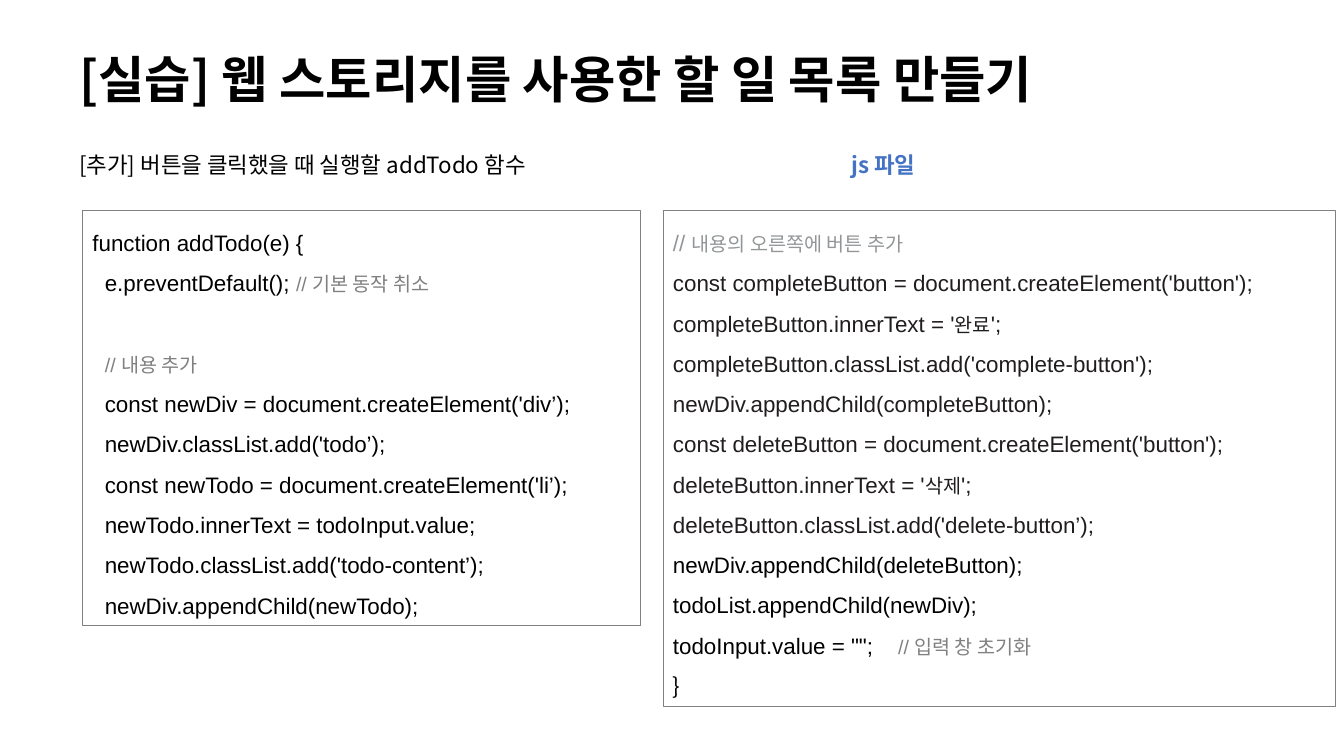
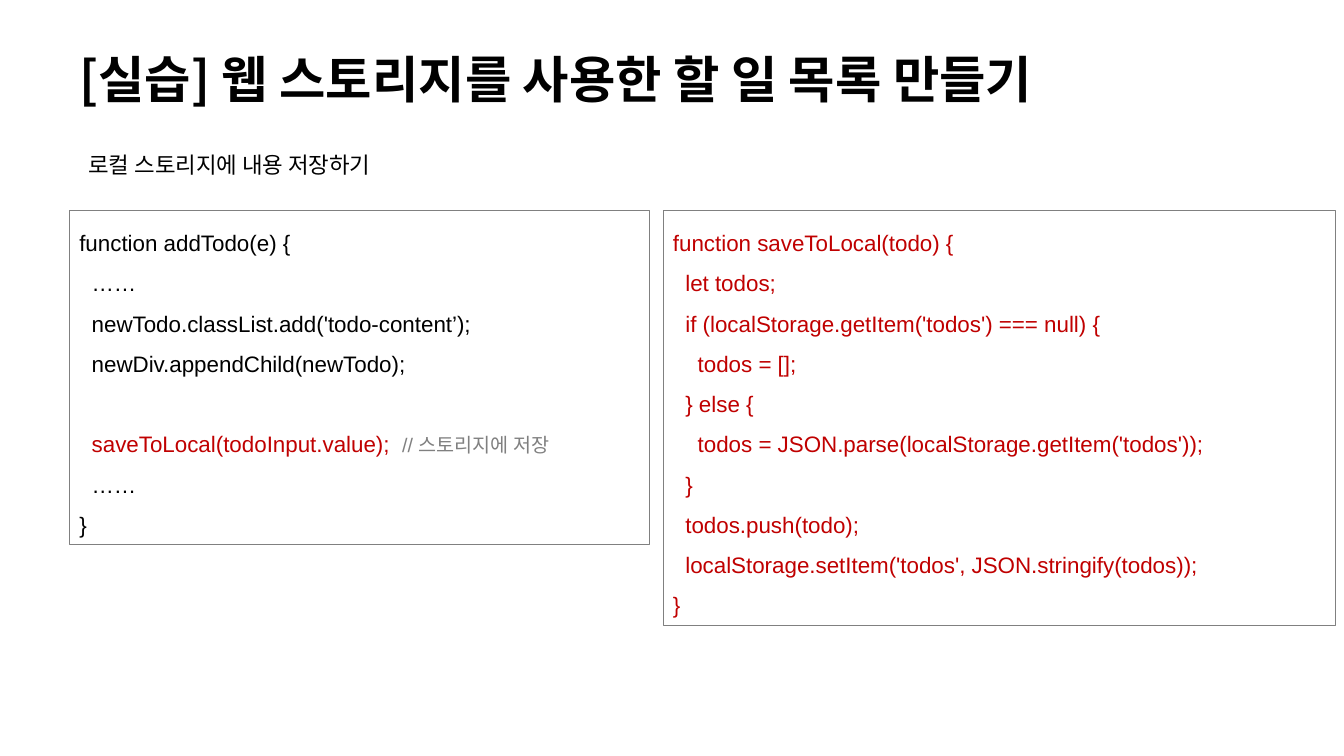
"""Builds two practice slides on a to-do list that uses web storage."""
from dataclasses import dataclass

from lxml.etree import SubElement
from pptx import Presentation
from pptx.dml.color import RGBColor
from pptx.enum.shapes import MSO_SHAPE as Shape
from pptx.enum.text import MSO_ANCHOR as Anchor, MSO_AUTO_SIZE as AutoSize, PP_ALIGN as Align
from pptx.oxml.ns import qn
from pptx.util import Cm, Pt


@dataclass(frozen=True)
class Theme:
    black: str = "000000"
    ink: str = "211D1E"
    gray: str = "808080"
    pale: str = "939698"
    red: str = "C00000"
    blue: str = "4472C4"
    korean: str = "Noto Sans CJK KR"
    latin: str = "Arial"
    title_size: float = 36
    body_size: float = 16
    note_size: float = 14
    code_spacing: float = 1.5
    code_pitch: float = 28.8
    border: float = 0.75


THEME = Theme()


@dataclass(frozen=True)
class Span:
    text: str
    color: str = THEME.black
    size: float = THEME.body_size
    font: str = THEME.latin
    bold: bool = False


@dataclass(frozen=True)
class CodeLine:
    spans: tuple[Span, ...]
    after_blank: bool = False


@dataclass(frozen=True)
class Caption:
    left: float
    width: float
    span: Span


@dataclass(frozen=True)
class CodeBox:
    left: float
    width: float
    lines: tuple[CodeLine, ...]


@dataclass(frozen=True)
class Lesson:
    captions: tuple[Caption, ...]
    boxes: tuple[CodeBox, ...]


TITLE = Span("[실습] 웹 스토리지를 사용한 할 일 목록 만들기",
             size=THEME.title_size, font=THEME.korean, bold=True)
MARGIN = 1.75
CAPTION_TOP, CAPTION_WIDTH, CAPTION_HEIGHT = 3.68, 22.35, 0.94
BOX_TOP, LINE_HEIGHT, BOX_PADDING = 5.31, 1.02, 0.25
RIGHT_LEFT, RIGHT_WIDTH = 16.71, 16.94


def code(source: str, color: str = THEME.black) -> tuple[CodeLine, ...]:
    """Turn source text into code lines of one colour."""
    return tuple(CodeLine((Span(line, color),)) for line in source.strip("\n").split("\n"))


def note(text: str, color: str = THEME.gray) -> Span:
    """Make a smaller span for a comment or a Korean literal."""
    return Span(text, color, THEME.note_size)


def label_line(button: str, label: str) -> CodeLine:
    """Make the code line that sets the label of a button."""
    return CodeLine((Span(f"{button}.innerText = '", THEME.ink),
                     note(label, THEME.ink), Span("';", THEME.ink)))


ADD_TODO = (
    *code("function addTodo(e) {"),
    CodeLine((Span("  e.preventDefault(); "), note("// 기본 동작 취소"))),
    CodeLine((Span("  "), note("// 내용 추가")), after_blank=True),
    *code("""
  const newDiv = document.createElement('div’);
  newDiv.classList.add('todo’);
  const newTodo = document.createElement('li’);
  newTodo.innerText = todoInput.value;
  newTodo.classList.add('todo-content’);
  newDiv.appendChild(newTodo);
"""),
)

ADD_BUTTONS = (
    CodeLine((Span("// ", THEME.pale), note("내용의 오른쪽에 버튼 추가", THEME.pale))),
    *code("const completeButton = document.createElement('button');", THEME.ink),
    label_line("completeButton", "완료"),
    *code("""
completeButton.classList.add('complete-button');
newDiv.appendChild(completeButton);
const deleteButton = document.createElement('button');
""", THEME.ink),
    label_line("deleteButton", "삭제"),
    *code("deleteButton.classList.add('delete-button’);", THEME.ink),
    *code("""
newDiv.appendChild(deleteButton);
todoList.appendChild(newDiv);
"""),
    CodeLine((Span('todoInput.value = "";    '), note("// 입력 창 초기화"))),
    CodeLine((Span("}", font=THEME.korean),)),
)

CALL_SAVE = (
    *code("""
function addTodo(e) {
  ……
  newTodo.classList.add('todo-content’);
  newDiv.appendChild(newTodo);
"""),
    CodeLine((Span("  "), Span("saveToLocal(todoInput.value);  ", THEME.red),
              note("// 스토리지에 저장")), after_blank=True),
    *code("""
  ……
}
"""),
)

SAVE_TO_LOCAL = code("""
function saveToLocal(todo) {
  let todos;
  if (localStorage.getItem('todos') === null) {
    todos = [];
  } else {
    todos = JSON.parse(localStorage.getItem('todos'));
  }
  todos.push(todo);
  localStorage.setItem('todos', JSON.stringify(todos));
}
""", THEME.red)

LESSONS = (
    Lesson(
        (Caption(MARGIN, CAPTION_WIDTH,
                 Span("[추가] 버튼을 클릭했을 때 실행할 addTodo 함수", font=THEME.korean)),
         Caption(21.21, 3.12,
                 Span("js 파일", THEME.blue, font=THEME.korean, bold=True))),
        (CodeBox(2.08, 14.07, ADD_TODO), CodeBox(RIGHT_LEFT, RIGHT_WIDTH, ADD_BUTTONS)),
    ),
    Lesson(
        (Caption(1.98, CAPTION_WIDTH,
                 Span("로컬 스토리지에 내용 저장하기", font=THEME.korean)),),
        (CodeBox(MARGIN, 14.63, CALL_SAVE), CodeBox(RIGHT_LEFT, RIGHT_WIDTH, SAVE_TO_LOCAL)),
    ),
)


def add_span(paragraph, span: Span) -> None:
    """Append one formatted run to a paragraph."""
    run = paragraph.add_run()
    run.text = span.text
    font = run.font
    font.name, font.size, font.bold = span.font, Pt(span.size), span.bold
    font.color.rgb = RGBColor.from_string(span.color)
    SubElement(font._element, qn("a:ea")).set("typeface", THEME.korean)


def draw_title(slide) -> None:
    """Place and fill the title placeholder."""
    title = slide.shapes.title
    title.left, title.top, title.width, title.height = Cm(MARGIN), Cm(0.89), Cm(29.44), Cm(2.34)
    title.text_frame.vertical_anchor = Anchor.MIDDLE
    heading = title.text_frame.paragraphs[0]
    heading.alignment = Align.LEFT
    heading.line_spacing = 0.9
    add_span(heading, TITLE)


def draw_caption(slide, caption: Caption) -> None:
    """Draw a caption above the code boxes."""
    frame = slide.shapes.add_textbox(Cm(caption.left), Cm(CAPTION_TOP),
                                     Cm(caption.width), Cm(CAPTION_HEIGHT)).text_frame
    frame.word_wrap = True
    frame.auto_size = AutoSize.SHAPE_TO_FIT_TEXT
    add_span(frame.paragraphs[0], caption.span)


def draw_code_box(slide, box: CodeBox) -> None:
    """Draw a bordered box whose height follows its code lines."""
    rows = len(box.lines) + sum(line.after_blank for line in box.lines)
    panel = slide.shapes.add_shape(Shape.RECTANGLE, Cm(box.left), Cm(BOX_TOP), Cm(box.width),
                                   Cm(rows * LINE_HEIGHT + BOX_PADDING))
    panel.shadow.inherit = False
    panel.fill.background()
    panel.line.color.rgb = RGBColor.from_string(THEME.gray)
    panel.line.width = Pt(THEME.border)
    frame = panel.text_frame
    frame.word_wrap = True
    frame.auto_size = AutoSize.SHAPE_TO_FIT_TEXT
    frame.vertical_anchor = Anchor.TOP
    for index, line in enumerate(box.lines):
        paragraph = frame.add_paragraph() if index else frame.paragraphs[0]
        paragraph.alignment = Align.JUSTIFY
        paragraph.line_spacing = THEME.code_spacing
        if line.after_blank:
            paragraph.space_before = Pt(THEME.code_pitch)
        for span in line.spans:
            add_span(paragraph, span)


def main() -> None:
    """Build and save the presentation."""
    deck = Presentation()
    deck.slide_width, deck.slide_height = Cm(33.87), Cm(19.05)
    for lesson in LESSONS:
        slide = deck.slides.add_slide(deck.slide_layouts[5])
        draw_title(slide)
        for caption in lesson.captions:
            draw_caption(slide, caption)
        for box in lesson.boxes:
            draw_code_box(slide, box)
    deck.save("out.pptx")


if __name__ == "__main__":
    main()
